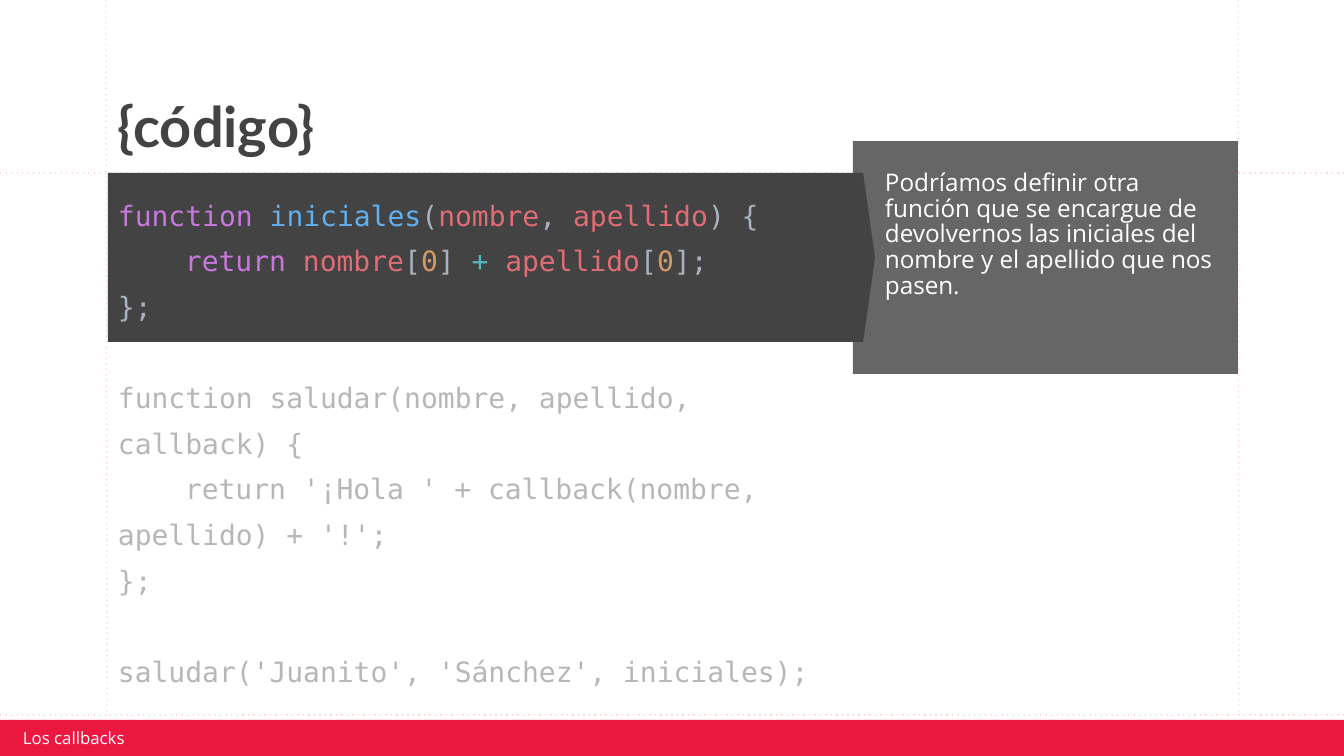
"""Build the code slide about passing a callback function."""
from lxml.etree import SubElement
from pptx import Presentation
from pptx.dml.color import RGBColor
from pptx.enum.dml import MSO_LINE
from pptx.enum.shapes import MSO_CONNECTOR, MSO_SHAPE
from pptx.enum.text import MSO_ANCHOR, PP_ALIGN
from pptx.oxml.ns import qn
from pptx.util import Emu, Pt

SCALE = 914400 / 134.4
COLORS = {
    "guide": "FCD8D6", "dark": "434343", "note": "666666", "white": "FFFFFF",
    "bar": "EC183F", "keyword": "C678DD", "function": "61AFEF",
    "plain": "ABB2BF", "name": "E06C75", "number": "D19A66",
    "operator": "56B6C2", "faded": "B7B7B7",
}


def px(length):
    return Emu(round(length * SCALE))


def write(box, lines, font, size, margins, anchor, **paragraph_format):
    frame = box.text_frame
    frame_format = {"word_wrap": True, "vertical_anchor": anchor}
    sides = ("margin_left", "margin_top", "margin_right", "margin_bottom")
    frame_format.update(zip(sides, map(px, margins)))
    for key, value in frame_format.items():
        setattr(frame, key, value)
    for index, spans in enumerate(lines):
        para = frame.add_paragraph() if index else frame.paragraphs[0]
        for key, value in {"alignment": PP_ALIGN.LEFT, **paragraph_format}.items():
            setattr(para, key, value)
        for text, color in spans:
            span = para.add_run()
            span.text = text
            for key, value in {"name": font, "size": Pt(size)}.items():
                setattr(span.font, key, value)
            span.font.color.rgb = RGBColor.from_string(COLORS[color])
    return frame.paragraphs


deck = Presentation()
deck.slide_width, deck.slide_height = px(1344), px(756)
page = deck.slides.add_slide(deck.slide_layouts[5])

guides = [(106, 0, 107, 716), (1238, 0, 1239, 716),
          (0, 173, 1344, 173), (0, 715, 1344, 715)]
for ends in guides:
    guide = page.shapes.add_connector(MSO_CONNECTOR.STRAIGHT, *map(px, ends))
    guide.line.color.rgb = RGBColor.from_string(COLORS["guide"])
    guide.line.width = Pt(0.75)
    guide.line.dash_style = MSO_LINE.ROUND_DOT
    guide._element.xpath(".//a:prstDash")[0].set("val", "dot")
    SubElement(guide._element.spPr, qn("a:effectLst"))

title = page.shapes.title
title.left, title.top, title.width, title.height = map(px, (105, 81, 1133, 92))
heading = write(title, [[("{código}", "dark")]], "Lato", 30, (13, 13, 13, 13),
                MSO_ANCHOR.BOTTOM, line_spacing=0.9)
heading[0].runs[0].font.bold = True

panels = {}
for name, kind, place, color in [
    ("note", MSO_SHAPE.RECTANGLE, (853, 141, 385, 233), "note"),
    ("code", MSO_SHAPE.RIGHT_ARROW, (108, 173, 767, 169), "dark"),
    ("footer", MSO_SHAPE.RECTANGLE, (0, 720, 1344, 36), "bar"),
]:
    panel = page.shapes.add_shape(kind, *map(px, place))
    panel.shadow.inherit = False
    panel.fill.solid()
    panel.fill.fore_color.rgb = RGBColor.from_string(COLORS[color])
    panel.line.fill.background()
    panels[name] = panel
panels["code"].adjustments[0] = 1
panels["code"].adjustments[1] = 0.07

note = ("Podríamos definir otra función que se encargue de devolvernos "
        "las iniciales del nombre y el apellido que nos pasen.")
write(panels["note"], [[(note, "white")]], "Open Sans", 13, (32, 30, 13, 0),
      MSO_ANCHOR.TOP, line_spacing=0.88)

code = [
    [("function ", "keyword"), ("iniciales", "function"), ("(", "plain"),
     ("nombre", "name"), (", ", "plain"), ("apellido", "name"), (") {", "plain")],
    [("return ", "keyword"), ("nombre", "name"), ("[", "plain"), ("0", "number"),
     ("] ", "plain"), ("+ ", "operator"), ("apellido", "name"), ("[", "plain"),
     ("0", "number"), ("];", "plain")],
    [("};", "plain")],
    [("function saludar(nombre, apellido, callback) {", "faded")],
    [("return '¡Hola ' + callback(nombre, apellido) + '!';", "faded")],
    [("};", "faded")],
    [("saludar('Juanito', 'Sánchez', iniciales);", "faded")],
]
code_box = page.shapes.add_textbox(*map(px, (105, 173, 747, 540)))
code_lines = write(code_box, code, "DejaVu Sans Mono", 15, (13, 13, 13, 13),
                   MSO_ANCHOR.TOP, line_spacing=1.36)
for para in code_lines:
    if para.text.startswith("return"):
        para._p.get_or_add_pPr().set("indent", str(px(67)))
    elif para.text.startswith(("function saludar", "saludar")):
        para.space_before = Pt(24.3)

footer_box = page.shapes.add_textbox(*map(px, (16, 728, 321, 20)))
write(footer_box, [[("Los callbacks", "white")]], "Open Sans", 9, (7, 3, 7, 3),
      MSO_ANCHOR.MIDDLE)

deck.save("out.pptx")
